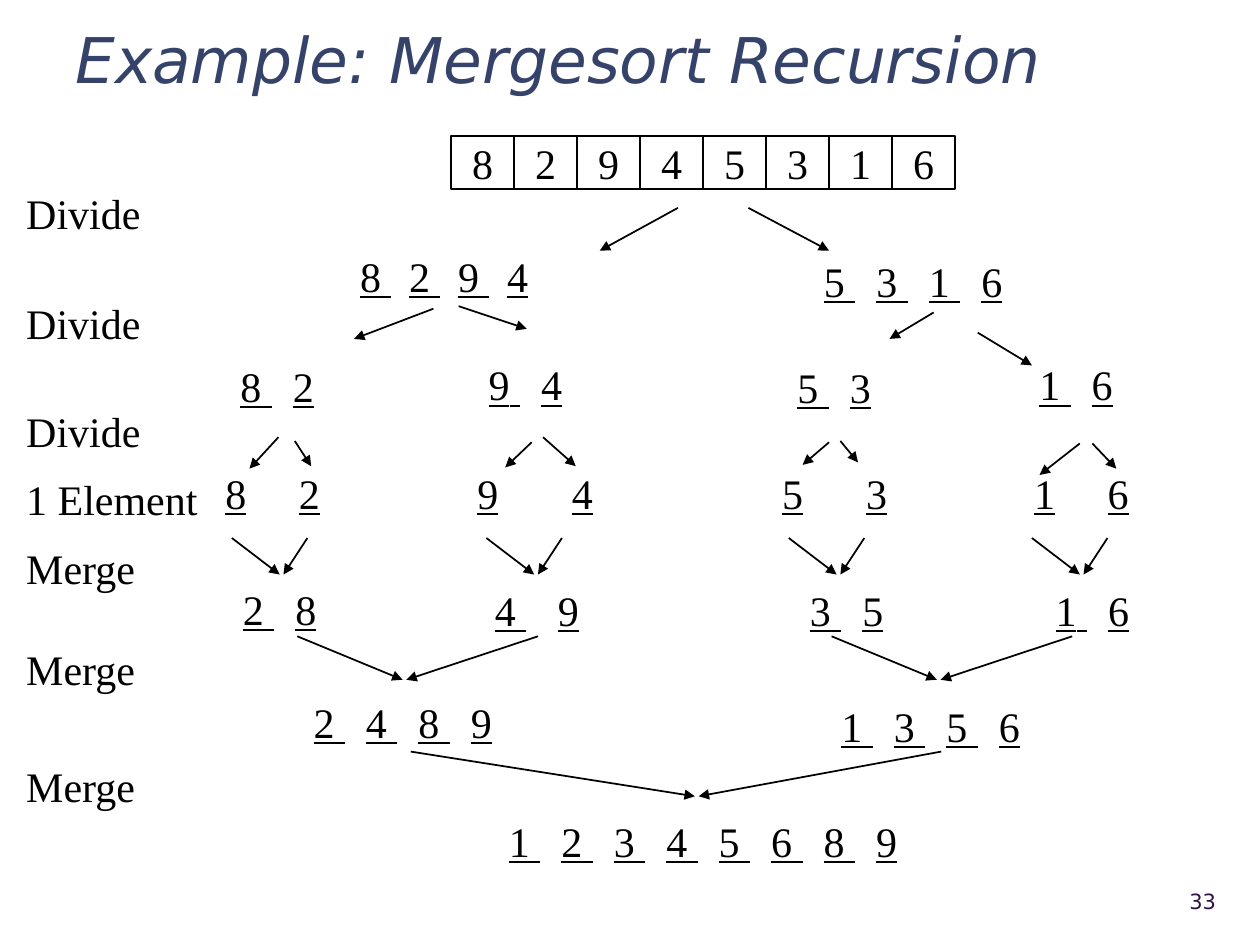
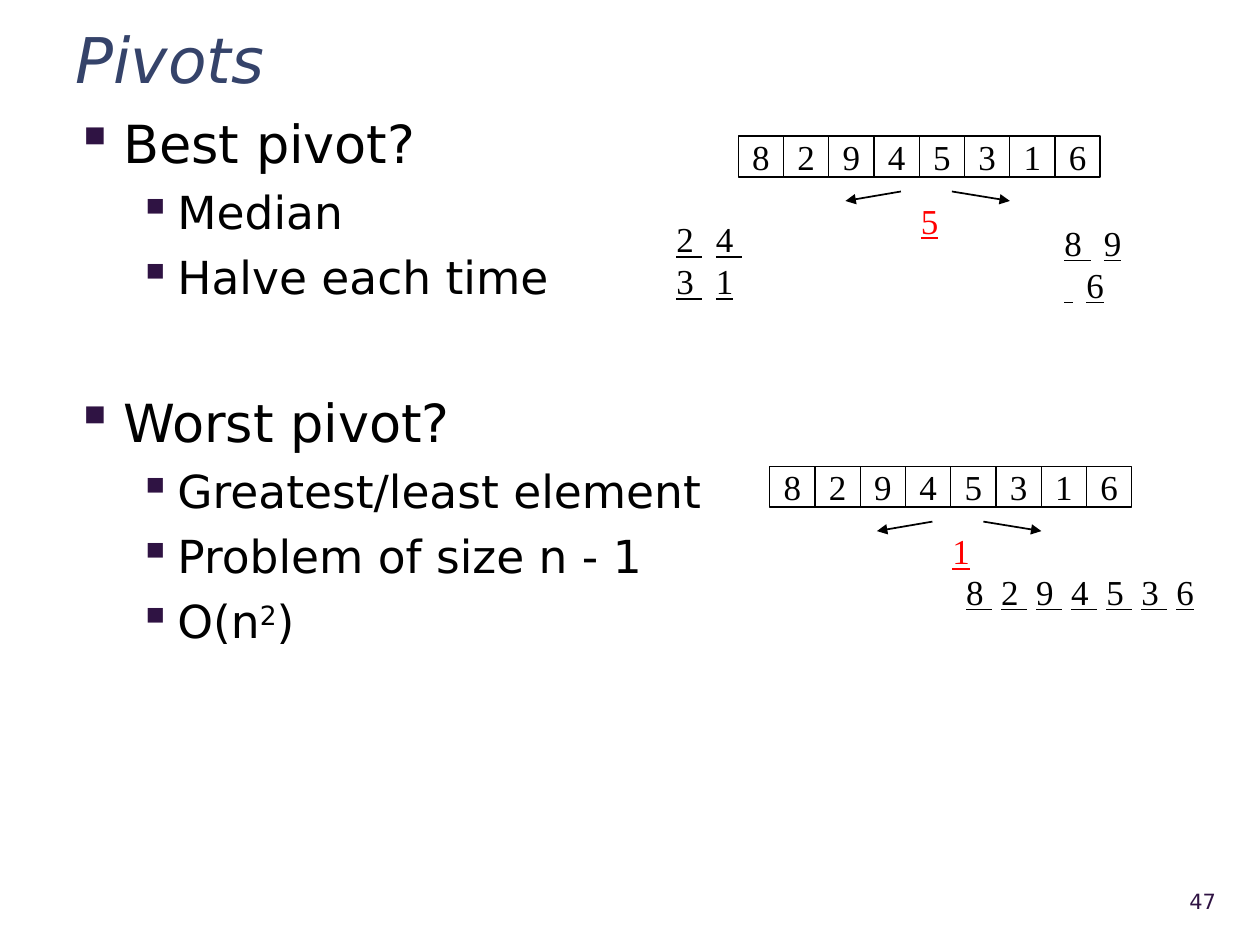
from dataclasses import dataclass

from lxml import etree
from pptx import Presentation, util as u
from pptx.dml.color import RGBColor
from pptx.enum import shapes, text
from pptx.oxml import ns


@dataclass(frozen=True)
class Theme:
    sans: str = "DejaVu Sans"
    serif: str = "Times New Roman"
    black: str = "000000"
    title: str = "35436A"
    accent: str = "2F1343"
    pivot: str = "FF0000"
    title_size: int = 36
    topic_size: int = 30
    point_size: int = 26
    tree_size: int = 24
    partition_size: int = 20
    footer_size: int = 12


THEME = Theme()

# The slide is a grid of square units, 100 columns by 75 rows
UNIT = u.Inches(0.1)
COLUMNS, ROWS = 100, 75
NUMBERS = "82945316"


def grid(*lengths):
    return [round(length * UNIT) for length in lengths]


def set_font(font, size, color=THEME.black, name=THEME.serif):
    font.name, font.size = name, u.Pt(size)
    font.color.rgb = RGBColor.from_string(color)


def add_text_box(slide, box, anchor=text.MSO_ANCHOR.TOP):
    frame = slide.shapes.add_textbox(*grid(*box)).text_frame
    frame.word_wrap = True
    frame.vertical_anchor = anchor
    return frame


def add_label(slide, words, left, top):
    paragraph = add_text_box(slide, (left, top, 18, 5)).paragraphs[0]
    paragraph.text = words
    set_font(paragraph.font, THEME.tree_size)


def add_numbers(slide, lines, left, top, gap=3, size=THEME.tree_size,
                color=THEME.black, joined=True):
    """Underlined numbers, set apart by a gap counted in space widths."""
    frame = add_text_box(slide, (left, top, 45, 5))
    for index, line in enumerate(lines.split("\n")):
        paragraph = frame.add_paragraph() if index else frame.paragraphs[0]
        set_font(paragraph.font, size, color)
        for character in line:
            run = paragraph.add_run()
            run.text = character
            set_font(run.font, size, color)
            run.font.underline = joined or character != " "
            if character == " ":
                spacing = round((gap - 1) * size / 4 * 100)
                run.font._element.set("spc", str(spacing))


def add_arrow(slide, start, end):
    arrow = slide.shapes.add_connector(
        shapes.MSO_CONNECTOR.STRAIGHT, *grid(*start, *end))
    arrow.line.color.rgb = RGBColor.from_string(THEME.black)
    arrow.line.width = u.Pt(1)
    outline = arrow.line._get_or_add_ln()
    etree.SubElement(outline, ns.qn("a:tailEnd"), type="triangle")
    etree.SubElement(arrow._element.spPr, ns.qn("a:effectLst"))


def add_merge_arrows(slide, left, top, span, apex, drop):
    """Two arrows whose heads meet at the apex, with a small gap."""
    for start, end in ((left, apex - 0.15), (left + span, apex + 0.15)):
        add_arrow(slide, (start, top), (end, top + drop))


def add_array(slide, left, top, width, height, size):
    for index, number in enumerate(NUMBERS):
        cell = slide.shapes.add_shape(
            shapes.MSO_SHAPE.RECTANGLE,
            *grid(left + index * width, top, width, height))
        cell.shadow.inherit = False
        cell.fill.background()
        cell.line.color.rgb = RGBColor.from_string(THEME.black)
        cell.line.width = u.Pt(0.75)
        frame = cell.text_frame
        frame.word_wrap = False
        frame.vertical_anchor = text.MSO_ANCHOR.MIDDLE
        paragraph = frame.paragraphs[0]
        paragraph.text = number
        paragraph.alignment = text.PP_ALIGN.CENTER
        set_font(paragraph.font, size)


def add_bullet(frame, words, level, space_before, superscript=""):
    first = not frame.paragraphs[0].runs
    paragraph = frame.paragraphs[0] if first else frame.add_paragraph()
    paragraph.level = level
    paragraph.space_before = u.Pt(space_before)
    size = THEME.point_size if level else THEME.topic_size
    set_font(paragraph.font, size, name=THEME.sans)
    before, mark, after = words.partition(superscript or "\n")
    for part in filter(None, (before, mark, after)):
        run = paragraph.add_run()
        run.text = part
        set_font(run.font, size, name=THEME.sans)
        if part == superscript:
            run.font._element.set("baseline", "30000")
    margin, hanging = ((3.8, 3.8), (8.1, 3.1))[level]
    properties = paragraph._p.get_or_add_pPr()
    properties.set("marL", str(grid(margin)[0]))
    properties.set("indent", str(grid(-hanging)[0]))
    color = etree.Element(ns.qn("a:buClr"))
    etree.SubElement(color, ns.qn("a:srgbClr"), val=THEME.accent)
    bullet = etree.Element(ns.qn("a:buChar"), char="▪")
    defaults = properties.find(ns.qn("a:defRPr"))
    for element in (color, bullet):
        defaults.addprevious(element)


def add_slide(presentation, title, number):
    slide = presentation.slides.add_slide(presentation.slide_layouts[6])
    middle = text.MSO_ANCHOR.MIDDLE
    heading = add_text_box(slide, (5, 1.7, 92.5, 5.3), middle).paragraphs[0]
    heading.text = title
    heading.line_spacing = 1.1
    set_font(heading.font, THEME.title_size, THEME.title, THEME.sans)
    heading.font.italic = True
    footer = add_text_box(slide, (88.9, 69.5, 8.6, 4), middle).paragraphs[0]
    footer.text = number
    footer.alignment = text.PP_ALIGN.RIGHT
    set_font(footer.font, THEME.footer_size, THEME.accent, THEME.sans)
    return slide


def build_mergesort(presentation):
    slide = add_slide(presentation, "Example: Mergesort Recursion", "33")
    add_array(slide, 35.8, 10.8, 5, 4.2, THEME.tree_size)

    # Step names on the left
    for words, top in (("Divide", 14.4), ("Divide", 23.1), ("Divide", 31.7),
                       ("1 Element", 37.1), ("Merge", 42.6),
                       ("Merge", 50.6), ("Merge", 59.9)):
        add_label(slide, words, 1.1, top)

    # Sublists with their gap where it is not three spaces
    for sublist in (("8 2 9 4", 27.6, 19.4, 2.67), ("5 3 1 6", 64.4, 19.8),
                    ("8 2", 18.1, 28.1), ("9 4", 37.8, 28),
                    ("5 3", 62.3, 28.2), ("1 6", 81.5, 28),
                    ("2 8", 18.3, 45.8), ("4 9", 38.3, 45.9, 4),
                    ("3 5", 63.3, 45.9), ("1 6", 82.8, 45.9),
                    ("2 4 8 9", 23.9, 54.8), ("1 3 5 6", 65.8, 55.1),
                    ("1 2 3 4 5 6 8 9", 39.4, 64.2)):
        add_numbers(slide, *sublist)
    for pair, left, gap in (("8 2", 16.9, 5), ("9 4", 36.9, 7),
                            ("5 3", 61.1, 6), ("1 6", 81.1, 5)):
        add_numbers(slide, pair, left, 36.6, gap, joined=False)

    # Divide arrows
    for start, end in (
            ((53.8, 16.5), (47.6, 19.9)), ((59.4, 16.5), (65.8, 19.9)),
            ((34.4, 24.5), (28.1, 26.9)), ((36.4, 24.3), (41.8, 26.1)),
            ((74.1, 24.8), (70.6, 26.9)), ((77.6, 26.4), (81.9, 29)),
            ((22.1, 34.7), (19.8, 37.2)), ((23.4, 35), (24.7, 37)),
            ((42.2, 35.1), (40.1, 37.1)), ((43.1, 34.7), (45.7, 37)),
            ((65.8, 35.1), (63.7, 36.9)), ((66.7, 35), (68.1, 36.7)),
            ((85.7, 35.2), (82.5, 37.7)), ((86.7, 35.2), (88.6, 37.2))):
        add_arrow(slide, start, end)

    # Merge arrows
    for left in (18.4, 38.6, 62.6, 81.9):
        add_merge_arrows(slide, left, 42.7, 6, left + 3.95, 2.9)
    for left in (23.6, 66):
        add_merge_arrows(slide, left, 50.5, 19.1, left + 8.5, 3.45)
    add_merge_arrows(slide, 32.6, 59.65, 42.1, 55.3, 3.55)


def add_partition(slide, left, top, pivot):
    """The array, two arrows and the pivot below them."""
    add_array(slide, left, top, 3.59, 3.25, THEME.partition_size)
    for start, end in ((12.9, 8.5), (16.95, 21.55)):
        add_arrow(slide, (left + start, top + 4.4), (left + end, top + 5.15))
    add_numbers(slide, pivot, left + 13.5, top + 4.55,
                size=THEME.partition_size, color=THEME.pivot)


def build_pivots(presentation):
    slide = add_slide(presentation, "Pivots", "47")

    # Topics and their points
    frame = add_text_box(slide, (5, 8.3, 92.5, 60))
    topics = (("Best pivot?", 7, ("Median", "Halve each time")),
              ("Worst pivot?", 49, ("Greatest/least element",
                                    "Problem of size n - 1", "O(n2)")))
    for topic, space, points in topics:
        add_bullet(frame, topic, 0, space)
        for point in points:
            add_bullet(frame, point, 1, 6, "2")

    # Best case, then worst case
    size = THEME.partition_size
    add_partition(slide, 58.6, 10.8, "5")
    add_numbers(slide, "2 4 \n3 1", 52.7, 16.8, 2.5, size)
    add_numbers(slide, "8 9\n 6", 83.5, 17.1, 2.5, size)
    add_partition(slide, 61.1, 37, "1")
    add_numbers(slide, "8 2 9 4 5 3 6", 75.7, 44.8, 2, size)


def main():
    presentation = Presentation()
    presentation.slide_width, presentation.slide_height = grid(COLUMNS, ROWS)
    build_mergesort(presentation)
    build_pivots(presentation)
    presentation.save("out.pptx")


if __name__ == "__main__":
    main()
